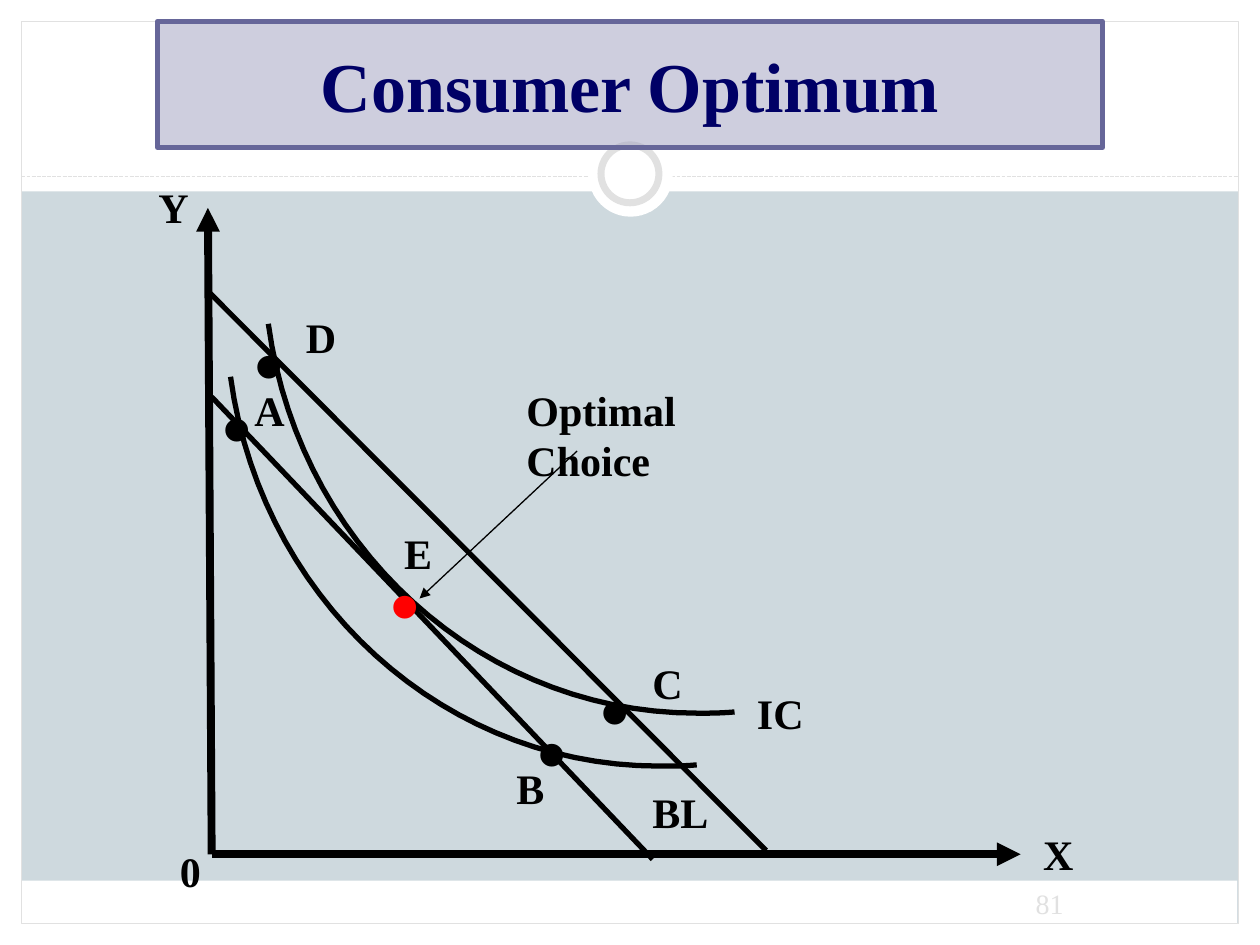
"""Build the Consumer Optimum slide with budget lines and indifference curves."""
from pptx import Presentation
from pptx.dml.color import RGBColor
from pptx.enum.dml import MSO_LINE
from pptx.enum.shapes import MSO_CONNECTOR, MSO_SHAPE
from pptx.enum.text import MSO_ANCHOR, MSO_AUTO_SIZE, PP_ALIGN
from pptx.oxml.ns import qn
from pptx.util import Inches, Pt
from lxml.etree import SubElement

BLACK = RGBColor(0x00, 0x00, 0x00)
WHITE = RGBColor(0xFF, 0xFF, 0xFF)
RED = RGBColor(0xFF, 0x00, 0x00)
GREY = RGBColor(0xE1, 0xE1, 0xE1)
PALE_BLUE = RGBColor(0xCE, 0xD9, 0xDE)
LILAC = RGBColor(0x9F, 0x9F, 0xBF)
VIOLET = RGBColor(0x66, 0x66, 0x99)
NAVY = RGBColor(0x00, 0x00, 0x66)
FONT = "Times New Roman"

deck = Presentation()
deck.slide_width, deck.slide_height = Inches(10), Inches(7.5)
page = deck.slides.add_slide(deck.slide_layouts[5])
page.background.fill.solid()
page.background.fill.fore_color.rgb = PALE_BLUE


def add_text(text, left, top, width, height=0.5, size=24, color=BLACK,
             bold=True, wrap=False, align=PP_ALIGN.LEFT):
    box = page.shapes.add_textbox(Inches(left), Inches(top), Inches(width), Inches(height))
    box.text_frame.word_wrap = wrap
    para = box.text_frame.paragraphs[0]
    para.alignment = align
    span = para.add_run()
    span.text = text
    span.font.name, span.font.size, span.font.bold = FONT, Pt(size), bold
    span.font.color.rgb = color


def add_line(start, end, width, color=BLACK, arrow=False, dash=None):
    line = page.shapes.add_connector(MSO_CONNECTOR.STRAIGHT, *map(Inches, start + end))
    line.line.width = Pt(width)
    line.line.color.rgb = color
    if dash:
        line.line.dash_style = dash
    if arrow:
        SubElement(line.line._get_or_add_ln(), qn("a:tailEnd"), type="triangle")
    SubElement(line._element.spPr, qn("a:effectLst"))


margins = [(0, 7.33, 10, 0.17), (0, 0, 10, 1.52), (0, 0, 0.17, 7.5),
           (9.83, 0, 0.17, 7.5), (0.16, 6.99, 9.66, 0.34)]
frame = (0.17, 0.17, 9.66, 7.16)
for bounds in margins + [frame]:
    panel = page.shapes.add_shape(MSO_SHAPE.RECTANGLE, *map(Inches, bounds))
    panel.shadow.inherit = False
    if bounds == frame:
        panel.fill.background()
        panel.line.color.rgb = GREY
        panel.line.width = Pt(0.75)
    else:
        panel.fill.solid()
        panel.fill.fore_color.rgb = WHITE
        panel.line.fill.background()

add_line((0.17, 1.4), (9.83, 1.4), 0.75, color=GREY, dash=MSO_LINE.SQUARE_DOT)
for left, top, size, line_color in [(4.67, 1.05, 0.67, WHITE), (4.77, 1.15, 0.46, GREY)]:
    ring = page.shapes.add_shape(MSO_SHAPE.OVAL, Inches(left), Inches(top),
                                 Inches(size), Inches(size))
    ring.shadow.inherit = False
    ring.fill.solid()
    ring.fill.fore_color.rgb = WHITE
    if line_color == GREY:
        ring.line.color.rgb = GREY
        ring.line.width = Pt(4)
    else:
        ring.line.fill.background()

origin = (1.68, 6.78)
add_line(origin, (8.1, 6.78), 4.5, arrow=True)
add_line(origin, (1.65, 1.65), 4.5, arrow=True)
add_line((1.68, 3.15), (5.18, 6.82), 3)
add_line((1.67, 2.33), (6.08, 6.75), 3)

curve_segments = [
    [(5.83, 5.65), (5.73, 5.66), (5.63, 5.66), (5.53, 5.66)],
    [(5.53, 5.66), (3.82, 5.66), (2.37, 4.34), (2.13, 2.57)],
]
steps = 30
for shift_x, shift_y in [(0, 0), (-0.3, 0.42)]:
    points = []
    for segment in curve_segments:
        for step in range(steps + 1):
            t = step / steps
            weights = [(1 - t) ** 3, 3 * t * (1 - t) ** 2, 3 * t ** 2 * (1 - t), t ** 3]
            x = sum(weight * point[0] for weight, point in zip(weights, segment))
            y = sum(weight * point[1] for weight, point in zip(weights, segment))
            points.append((Inches(x + shift_x), Inches(y + shift_y)))
    builder = page.shapes.build_freeform(*points[0])
    builder.add_line_segments(points[1:], close=False)
    curve = builder.convert_to_shape()
    curve.shadow.inherit = False
    curve.fill.background()
    curve.line.color.rgb = BLACK
    curve.line.width = Pt(3)

for left, top, color in [(4.17, 5.5, BLACK), (3, 4.33, RED), (4.67, 5.17, BLACK),
                         (1.92, 2.42, BLACK), (1.67, 2.92, BLACK)]:
    add_text("•", left, top, 0.43, height=0.9, size=48, color=color)

for text, left, top, width in [
    ("Y", 1.16, 1.39, 0.44), ("X", 8.18, 6.53, 0.44), ("0", 1.33, 6.66, 0.37),
    ("IC", 5.91, 5.41, 0.57), ("BL", 5.08, 6.19, 0.65), ("A", 1.92, 3, 0.4),
    ("B", 4, 6, 0.39), ("C", 5.08, 5.17, 0.44), ("D", 2.33, 2.42, 0.41),
    ("E", 3.11, 4.14, 0.44),
]:
    add_text(text, left, top, width)
add_text("Optimal Choice", 4.08, 3, 2.34, wrap=True)
add_line((4.58, 3.58), (3.33, 4.75), 0.75, arrow=True)
add_text("81", 8.03, 6.99, 0.6, height=0.34, size=16, color=GREY, bold=False,
         align=PP_ALIGN.CENTER)

title = page.shapes.title
title.left, title.top, title.width, title.height = map(Inches, (1.25, 0.17, 7.5, 1))
geometry = SubElement(title._element.spPr, qn("a:prstGeom"), prst="roundRect")
adjustments = SubElement(geometry, qn("a:avLst"))
SubElement(adjustments, qn("a:gd"), name="adj", fmla="val 50000")
title.fill.solid()
title.fill.fore_color.rgb = LILAC
fill_color = title._element.spPr.find(qn("a:solidFill"))[0]
SubElement(fill_color, qn("a:alpha"), val="50000")
title.line.color.rgb = VIOLET
title.line.width = Pt(3)
title_frame = title.text_frame
title_frame.text = "Consumer Optimum"
title_frame.word_wrap = False
title_frame.auto_size = MSO_AUTO_SIZE.NONE
title_frame.vertical_anchor = MSO_ANCHOR.MIDDLE
title_frame.margin_left = title_frame.margin_right = Inches(0.5)
title_para = title_frame.paragraphs[0]
title_para.alignment = PP_ALIGN.CENTER
title_font = title_para.runs[0].font
title_font.name, title_font.size, title_font.bold = FONT, Pt(40), True
title_font.color.rgb = NAVY
page.shapes._spTree.append(title._element)

deck.save("out.pptx")
